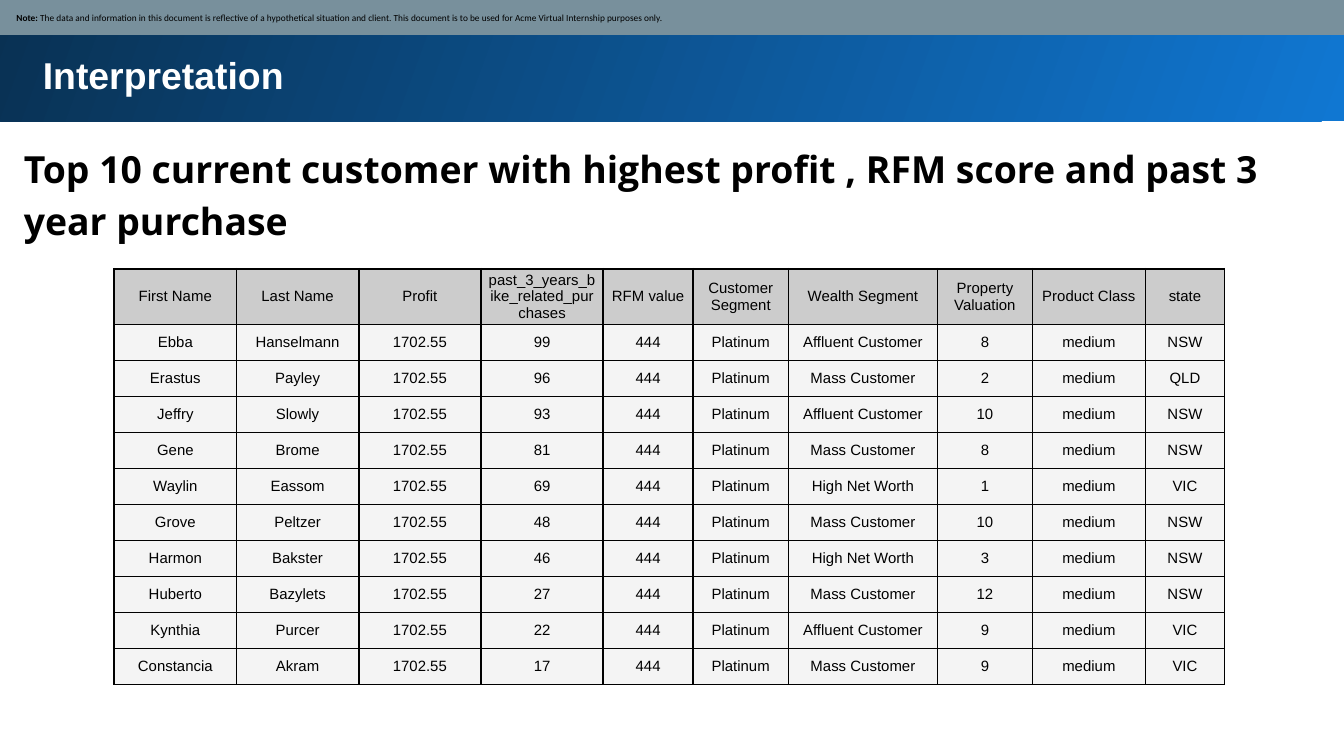
from dataclasses import dataclass
from lxml.etree import SubElement
from pptx import Presentation
from pptx.dml.color import RGBColor
from pptx.enum.shapes import MSO_SHAPE
from pptx.enum.text import MSO_ANCHOR, MSO_AUTO_SIZE, PP_ALIGN
from pptx.oxml.ns import qn
from pptx.util import Cm, Pt


@dataclass(frozen=True)
class Theme:
    """Colours, fonts and type sizes."""
    bright: str = "1077D2"
    deep: str = "093153"
    strip: str = "78909C"
    body: str = "CACACA"
    white: str = "FFFFFF"
    black: str = "000000"
    sans: str = "Arial"
    head: str = "Open Sans"
    small: str = "Calibri"
    big: int = 20
    cell: int = 8
    note: int = 5


theme = Theme()


def style(para, name, size, color, bold=None):
    """Set the font of a whole paragraph."""
    font = para.font
    font.name, font.size, font.bold = name, Pt(size), bold
    font.color.rgb = RGBColor.from_string(color)


def paint(cell, color):
    """Give a cell black borders and a fill of 20 % opacity."""
    props = cell._tc.get_or_add_tcPr()
    for side in ("a:lnL", "a:lnR", "a:lnT", "a:lnB"):
        line = SubElement(props, qn(side), w=str(Pt(1)))
        solid = SubElement(line, qn("a:solidFill"))
        SubElement(solid, qn("a:srgbClr"), val=theme.black)
    cell.fill.solid()
    cell.fill.fore_color.rgb = RGBColor.from_string(color)
    tint = props.find(qn("a:solidFill"))[0]
    SubElement(tint, qn("a:alpha"), val="20000")


deck = Presentation()
deck.slide_width, deck.slide_height = Cm(25.4), Cm(14.29)
slide = deck.slides.add_slide(deck.slide_layouts[5])
shapes = slide.shapes
title = shapes.title

# Banner, placed behind the title
banner = shapes.add_shape(MSO_SHAPE.RECTANGLE, 0, Cm(-0.05), Cm(25.4), Cm(2.34))
banner.shadow.inherit = False
banner.line.fill.background()
banner.fill.gradient()
banner.fill.gradient_angle = 160
for stop, color, spot in zip(banner.fill.gradient_stops, (theme.bright, theme.deep), (0, 1)):
    stop.color.rgb = RGBColor.from_string(color)
    stop.position = spot
title._element.addprevious(banner._element)

# Title and heading
title.left, title.top, title.width, title.height = Cm(0.56), Cm(0.74), Cm(23.8), Cm(2.11)
heading = shapes.add_textbox(Cm(0.2), Cm(2.39), Cm(24.99), Cm(2.39))
for box, text, name, color in (
    (title, "Interpretation", theme.sans, theme.white),
    (heading, "Top 10 current customer with highest profit , RFM score and past 3 year purchase",
     theme.head, theme.black),
):
    frame = box.text_frame
    frame.text = text
    frame.word_wrap = True
    frame.auto_size = MSO_AUTO_SIZE.NONE
    frame.vertical_anchor = MSO_ANCHOR.TOP
    frame.margin_left = frame.margin_right = frame.margin_top = frame.margin_bottom = Cm(0.25)
    para = frame.paragraphs[0]
    para.alignment = PP_ALIGN.LEFT
    style(para, name, theme.big, color, True)
heading.text_frame.paragraphs[0].line_spacing = 1.15

# Note strip
strip = shapes.add_shape(MSO_SHAPE.RECTANGLE, Cm(-0.08), 0, Cm(25.48), Cm(0.66))
strip.shadow.inherit = False
strip.line.fill.background()
strip.fill.solid()
strip.fill.fore_color.rgb = RGBColor.from_string(theme.strip)
frame = strip.text_frame
frame.word_wrap = True
frame.vertical_anchor = MSO_ANCHOR.MIDDLE
frame.margin_left = Cm(0.39)
frame.margin_right = frame.margin_top = frame.margin_bottom = Cm(0.13)
para = frame.paragraphs[0]
para.alignment = PP_ALIGN.LEFT
style(para, theme.small, theme.note, theme.black)
label = para.add_run()
label.text = "Note: "
label.font.bold = True
para.add_run().text = (
    "The data and information in this document is reflective of a hypothetical situation "
    "and client. This document is to be used for Acme Virtual Internship purposes only."
)

# Customer table
header = ("First Name", "Last Name", "Profit", "past_3_years_bike_related_purchases",
          "RFM value", "Customer Segment", "Wealth Segment", "Property Valuation",
          "Product Class", "state")
mass, rich, high = "Mass Customer", "Affluent Customer", "High Net Worth"
people = (
    ("Ebba", "Hanselmann", 99, rich, 8, "NSW"),
    ("Erastus", "Payley", 96, mass, 2, "QLD"),
    ("Jeffry", "Slowly", 93, rich, 10, "NSW"),
    ("Gene", "Brome", 81, mass, 8, "NSW"),
    ("Waylin", "Eassom", 69, high, 1, "VIC"),
    ("Grove", "Peltzer", 48, mass, 10, "NSW"),
    ("Harmon", "Bakster", 46, high, 3, "NSW"),
    ("Huberto", "Bazylets", 27, mass, 12, "NSW"),
    ("Kynthia", "Purcer", 22, rich, 9, "VIC"),
    ("Constancia", "Akram", 17, mass, 9, "VIC"),
)
rows = [header] + [
    (first, last, "1702.55", count, "444", "Platinum", wealth, value, "medium", state)
    for first, last, count, wealth, value, state in people
]
widths = (2.31, 2.31, 2.31, 2.31, 1.7, 1.8, 2.82, 1.79, 2.14, 1.49)
tall, low = 0.97, 0.68
table = shapes.add_table(len(rows), len(widths), Cm(2.16), Cm(5.08), Cm(sum(widths)),
                         Cm(tall + low * len(people))).table
table.first_row = table.horz_banding = False
for column, width in zip(table.columns, widths):
    column.width = Cm(width)
for r, row in enumerate(rows):
    table.rows[r].height = Cm(low if r else tall)
    for c, value in enumerate(row):
        cell = table.cell(r, c)
        cell.text = str(value)
        cell.vertical_anchor = MSO_ANCHOR.MIDDLE
        cell.margin_left = cell.margin_right = Cm(0.13)
        cell.margin_top = cell.margin_bottom = Cm(0.05)
        para = cell.text_frame.paragraphs[0]
        para.alignment = PP_ALIGN.CENTER
        style(para, theme.sans, theme.cell, theme.black)
        paint(cell, theme.body if r else theme.black)

deck.save("out.pptx")
